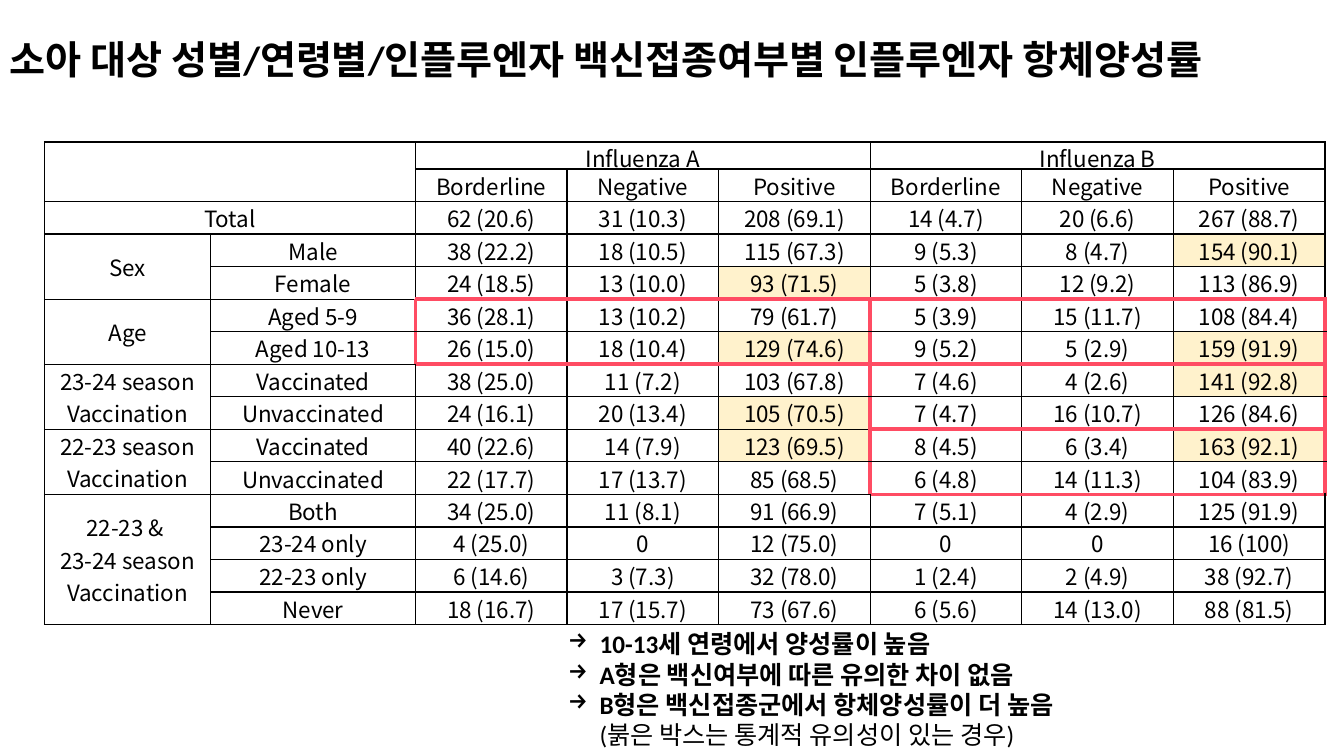
from dataclasses import dataclass
from typing import Any

import lxml.etree
import pptx
import pptx.dml.color
import pptx.enum.text
import pptx.oxml.ns
import pptx.util

Cm = pptx.util.Cm
Pt = pptx.util.Pt
qn = pptx.oxml.ns.qn
ALIGN = pptx.enum.text.PP_ALIGN
ANCHOR = pptx.enum.text.MSO_ANCHOR

COLORS = {"text": "000000", "grid": "000000", "significant": "FF4C63", "highest": "FFF2CC"}
TITLE = "소아 대상 성별/연령별/인플루엔자 백신접종여부별 인플루엔자 항체양성률"
FINDINGS = (
    "10-13세 연령에서 양성률이 높음",
    "A형은 백신여부에 따른 유의한 차이 없음",
    "B형은 백신접종군에서 항체양성률이 더 높음\v",
)
FOOTNOTE = "(붉은 박스는 통계적 유의성이 있는 경우)"

COLUMN_WIDTHS = [4.19, 5.16] + [3.82] * 6
ROW_HEIGHTS = [0.43] + [0.82] * 14
ROWS = (
    ("", "", "Influenza A", "", "", "Influenza B", "", ""),
    ("", "") + ("Borderline", "Negative", "Positive") * 2,
    ("Total", "", "62 (20.6)", "31 (10.3)", "208 (69.1)", "14 (4.7)", "20 (6.6)", "267 (88.7)"),
    ("Sex", "Male", "38 (22.2)", "18 (10.5)", "115 (67.3)", "9 (5.3)", "8 (4.7)", "154 (90.1)"),
    ("", "Female", "24 (18.5)", "13 (10.0)", "93 (71.5)", "5 (3.8)", "12 (9.2)", "113 (86.9)"),
    ("Age", "Aged 5-9", "36 (28.1)", "13 (10.2)", "79 (61.7)", "5 (3.9)", "15 (11.7)", "108 (84.4)"),
    ("", "Aged 10-13", "26 (15.0)", "18 (10.4)", "129 (74.6)", "9 (5.2)", "5 (2.9)", "159 (91.9)"),
    ("23-24 season\nVaccination", "Vaccinated",
     "38 (25.0)", "11 (7.2)", "103 (67.8)", "7 (4.6)", "4 (2.6)", "141 (92.8)"),
    ("", "Unvaccinated", "24 (16.1)", "20 (13.4)", "105 (70.5)", "7 (4.7)", "16 (10.7)", "126 (84.6)"),
    ("22-23 season\nVaccination", "Vaccinated",
     "40 (22.6)", "14 (7.9)", "123 (69.5)", "8 (4.5)", "6 (3.4)", "163 (92.1)"),
    ("", "Unvaccinated", "22 (17.7)", "17 (13.7)", "85 (68.5)", "6 (4.8)", "14 (11.3)", "104 (83.9)"),
    ("22-23 & \v23-24 season\vVaccination", "Both",
     "34 (25.0)", "11 (8.1)", "91 (66.9)", "7 (5.1)", "4 (2.9)", "125 (91.9)"),
    ("", "23-24 only", "4 (25.0)", "0", "12 (75.0)", "0", "0", "16 (100)"),
    ("", "22-23 only", "6 (14.6)", "3 (7.3)", "32 (78.0)", "1 (2.4)", "2 (4.9)", "38 (92.7)"),
    ("", "Never", "18 (16.7)", "17 (15.7)", "73 (67.6)", "6 (5.6)", "14 (13.0)", "88 (81.5)"),
)
HIGHEST = {(3, 7), (4, 4), (6, 4), (6, 7), (7, 7), (8, 4), (9, 4), (9, 7)}
BOTTOM_ANCHORED_ROWS = {8, 10, 11}


@dataclass(frozen=True)
class Block:
    top: int
    left: int
    bottom: int
    right: int

    def has_row_line(self, line: int, column: int) -> bool:
        return line in (self.top, self.bottom + 1) and self.left <= column <= self.right

    def has_column_line(self, line: int, row: int) -> bool:
        return line in (self.left, self.right + 1) and self.top <= row <= self.bottom


MERGES = (
    Block(0, 0, 1, 1), Block(0, 2, 0, 4), Block(0, 5, 0, 7), Block(2, 0, 2, 1),
    Block(3, 0, 4, 0), Block(5, 0, 6, 0), Block(7, 0, 8, 0), Block(9, 0, 10, 0),
    Block(11, 0, 14, 0),
)
SIGNIFICANT = (Block(5, 2, 6, 4), Block(5, 5, 6, 7), Block(7, 5, 8, 7), Block(9, 5, 10, 7))


def write_span(para: Any, text: str, *, size: float, font: str = "Calibri",
               bold: bool = False, color: str = COLORS["text"]) -> None:
    for index, line in enumerate(text.split("\v")):
        if index:
            para.add_line_break()
        if not line:
            continue
        span = para.add_run()
        span.text = line
        span.font.size = Pt(size)
        span.font.name = font
        span.font.bold = bold
        span.font.color.rgb = pptx.dml.color.RGBColor.from_string(color)
        properties = span.font._element
        properties.find(qn("a:latin")).addnext(
            properties.makeelement(qn("a:ea"), {"typeface": font}))


def add_box(slide: Any, left: float, top: float, width: float, height: float) -> Any:
    box = slide.shapes.add_textbox(Cm(left), Cm(top), Cm(width), Cm(height))
    box.text_frame.word_wrap = True
    return box.text_frame


def add_border(cell: Any, side: str, significant: bool) -> None:
    properties = cell._tc.get_or_add_tcPr()
    width = Pt(3 if significant else 1)
    line = lxml.etree.SubElement(properties, qn(f"a:ln{side}"), w=str(int(width)))
    fill = lxml.etree.SubElement(line, qn("a:solidFill"))
    color = COLORS["significant" if significant else "grid"]
    lxml.etree.SubElement(fill, qn("a:srgbClr"), val=color)


def format_cell(cell: Any, row: int, column: int) -> None:
    cell.margin_left = cell.margin_right = Cm(0.18)
    cell.margin_top = cell.margin_bottom = 0
    at_bottom = row in BOTTOM_ANCHORED_ROWS and column > 0
    cell.vertical_anchor = ANCHOR.BOTTOM if at_bottom else ANCHOR.MIDDLE
    for side, line in (("L", column), ("R", column + 1)):
        add_border(cell, side, any(block.has_column_line(line, row) for block in SIGNIFICANT))
    for side, line in (("T", row), ("B", row + 1)):
        add_border(cell, side, any(block.has_row_line(line, column) for block in SIGNIFICANT))
    if (row, column) in HIGHEST:
        cell.fill.solid()
        cell.fill.fore_color.rgb = pptx.dml.color.RGBColor.from_string(COLORS["highest"])
    else:
        cell.fill.background()


def write_cell(cell: Any, text: str) -> None:
    frame = cell.text_frame
    for index, line in enumerate(text.split("\n")):
        para = frame.add_paragraph() if index else frame.paragraphs[0]
        para.alignment = ALIGN.CENTER
        if line:
            write_span(para, line, size=16, font="Noto Sans CJK KR")
        else:
            para.font.size = Pt(10)


def add_rate_table(slide: Any) -> None:
    table = slide.shapes.add_table(
        len(ROWS), len(COLUMN_WIDTHS), Cm(1.12), Cm(3.58),
        Cm(sum(COLUMN_WIDTHS)), Cm(sum(ROW_HEIGHTS))).table
    table.first_row = table.horz_banding = False
    for column, width in zip(table.columns, COLUMN_WIDTHS):
        column.width = Cm(width)
    for row, height in zip(table.rows, ROW_HEIGHTS):
        row.height = Cm(height)
    for row, texts in enumerate(ROWS):
        for column, text in enumerate(texts):
            cell = table.cell(row, column)
            format_cell(cell, row, column)
            write_cell(cell, text)
    for block in MERGES:
        table.cell(block.top, block.left).merge(table.cell(block.bottom, block.right))


def add_findings(slide: Any) -> None:
    frame = add_box(slide, 13.44, 15.72, 20.42, 3.33)
    frame.auto_size = pptx.enum.text.MSO_AUTO_SIZE.SHAPE_TO_FIT_TEXT
    for index, finding in enumerate(FINDINGS):
        para = frame.add_paragraph() if index else frame.paragraphs[0]
        properties = para._p.get_or_add_pPr()
        properties.set("marL", str(int(Cm(1.42))))
        properties.set("indent", str(int(Cm(-0.79))))
        lxml.etree.SubElement(properties, qn("a:buChar"), char="→")
        write_span(para, finding, size=18, bold=True)
    write_span(para, FOOTNOTE, size=18)


def main() -> None:
    deck = pptx.Presentation()
    deck.slide_width, deck.slide_height = Cm(33.87), Cm(19.05)
    page = deck.slides.add_slide(deck.slide_layouts[6])
    title = add_box(page, 0, 0.71, 34.42, 1.68)
    title.vertical_anchor = ANCHOR.MIDDLE
    title.paragraphs[0].line_spacing = 0.9
    write_span(title.paragraphs[0], TITLE, size=28, bold=True)
    add_rate_table(page)
    add_findings(page)
    deck.save("out.pptx")


if __name__ == "__main__":
    main()
